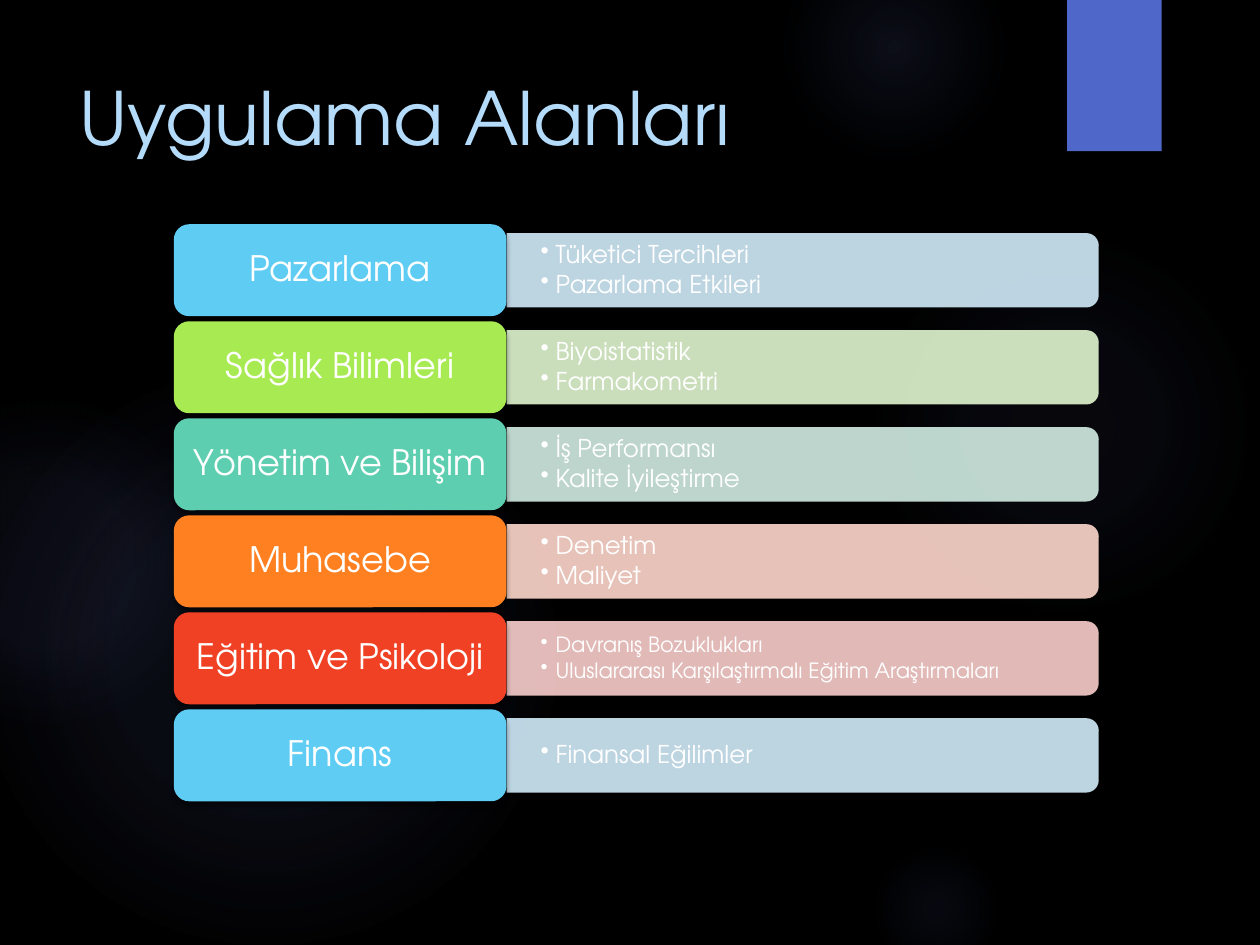
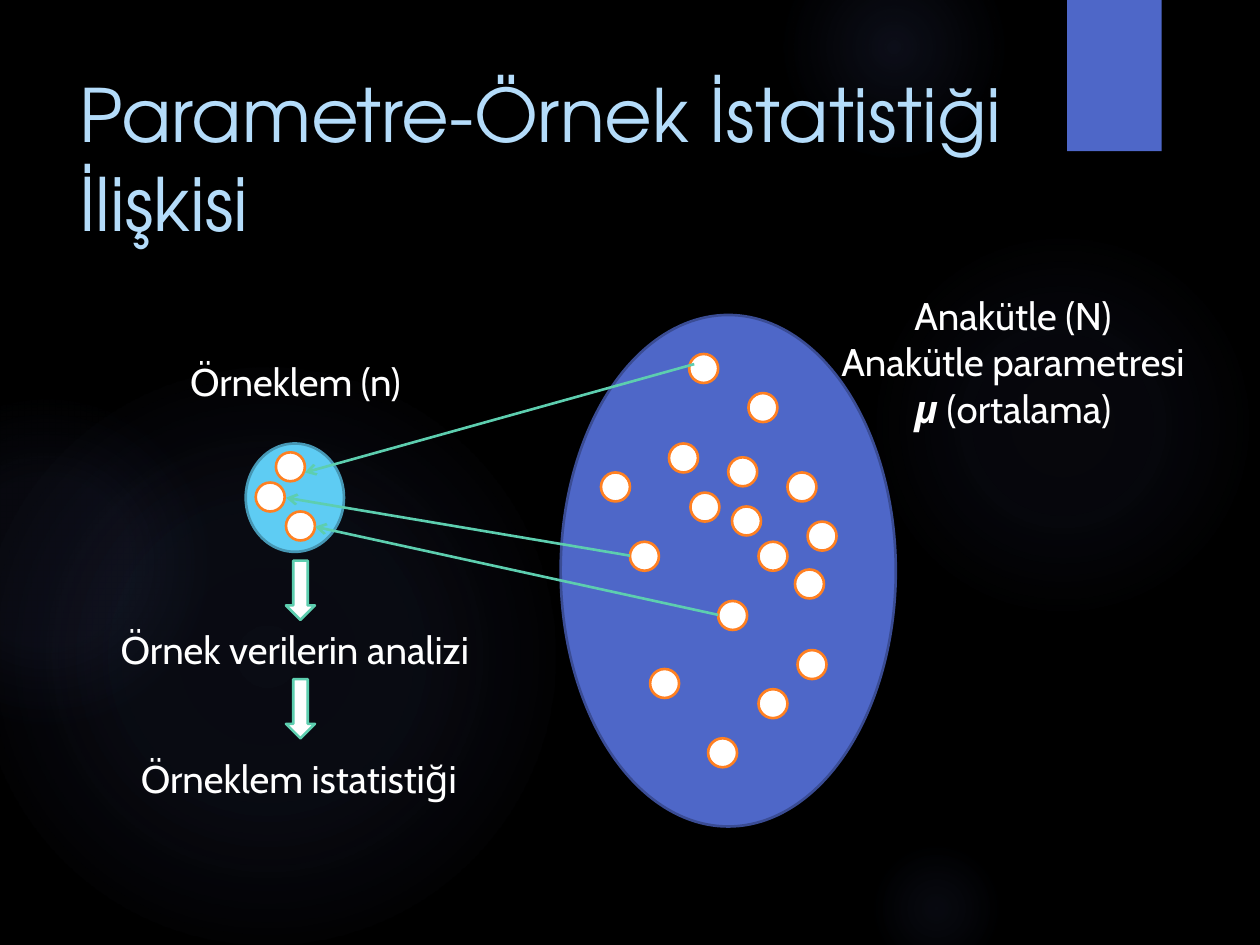
from collections import namedtuple
from dataclasses import dataclass

from lxml import etree
from pptx import Presentation
from pptx.dml.color import RGBColor
from pptx.enum.shapes import MSO_CONNECTOR, MSO_SHAPE
from pptx.enum.text import MSO_ANCHOR, MSO_AUTO_SIZE, PP_ALIGN
from pptx.oxml import parse_xml
from pptx.oxml.ns import nsdecls, qn
from pptx.util import Inches, Pt

ELLIPSE = MSO_SHAPE.OVAL
RECTANGLE = MSO_SHAPE.RECTANGLE
ROUNDED = MSO_SHAPE.ROUNDED_RECTANGLE
ROUND_TOP = MSO_SHAPE.ROUND_2_SAME_RECTANGLE
DOWN_ARROW = MSO_SHAPE.DOWN_ARROW
STRAIGHT = MSO_CONNECTOR.STRAIGHT
LEFT, CENTER = PP_ALIGN.LEFT, PP_ALIGN.CENTER
TOP, MIDDLE = MSO_ANCHOR.TOP, MSO_ANCHOR.MIDDLE
FIT_SHAPE, FIXED = MSO_AUTO_SIZE.SHAPE_TO_FIT_TEXT, MSO_AUTO_SIZE.NONE

Box = namedtuple("Box", "left top width height")


@dataclass(frozen=True)
class Theme:
    heading_font: str = "TeX Gyre Adventor"
    body_font: str = "Cabin"
    title_size: int = 42
    card_size: int = 20
    label_size: int = 22
    bullet_size: int = 14
    small_bullet_size: int = 12
    line_width: float = 1.5
    line_spacing: float = 0.9
    black: str = "000000"
    white: str = "FFFFFF"
    title: str = "B4DCFA"
    glow: str = "5968B0"
    indigo: str = "4E67C8"
    indigo_edge: str = "3A4C94"
    sky: str = "5ECCF3"
    sky_edge: str = "4697B4"
    sky_tint: str = "D2ECFA"
    lime: str = "A7EA52"
    lime_tint: str = "E1F7D1"
    teal: str = "5DCEAF"
    teal_tint: str = "D2EDE3"
    orange: str = "FF8021"
    orange_tint: str = "FFD8CD"
    red: str = "F14124"
    red_tint: str = "FACFCD"


THEME = Theme()

GLOWS = [
    (Box(6.89, 1.83, 3.08, 3.08), [(0, 7), (36, 6), (69, 0)]),
    (Box(6.22, -0.5, 1.75, 1.75), [(0, 14), (36, 7), (73, 0)]),
    (Box(6.89, 6.67, 1.08, 1.08), [(0, 9), (36, 5), (66, 0)]),
    (Box(-0.17, 2.92, 4.58, 4.58), [(0, 11), (36, 10), (75, 0)]),
    (Box(-0.92, 3.17, 2.58, 2.58), [(0, 8), (36, 8), (72, 0)]),
]

FIELDS = [
    ("Pazarlama", THEME.sky, THEME.sky_tint, THEME.bullet_size,
     ["Tüketici Tercihleri", "Pazarlama Etkileri"]),
    ("Sağlık Bilimleri", THEME.lime, THEME.lime_tint, THEME.bullet_size,
     ["Biyoistatistik", "Farmakometri"]),
    ("Yönetim ve Bilişim", THEME.teal, THEME.teal_tint, THEME.bullet_size,
     ["İş Performansı", "Kalite İyileştirme"]),
    ("Muhasebe", THEME.orange, THEME.orange_tint, THEME.bullet_size,
     ["Denetim", "Maliyet"]),
    ("Eğitim ve Psikoloji", THEME.red, THEME.red_tint, THEME.small_bullet_size,
     ["Davranış Bozuklukları",
      "Uluslararası Karşılaştırmalı Eğitim Araştırmaları"]),
    ("Finans", THEME.sky, THEME.sky_tint, THEME.bullet_size,
     ["Finansal Eğilimler"]),
]

POPULATION_DOTS = [
    (0.86, 1.02), (1.03, 1.41), (1.49, 0.62), (1.8, 1.25), (0.55, 1.8),
    (1.57, 1.8), (0.32, 1.25), (1.02, 0.31), (1.36, 1.52), (1.96, 1.64),
    (1.25, 2.27), (1.86, 2.02), (1.88, 2.66), (0.71, 2.81), (1.33, 1.13),
    (1.57, 2.97), (1.17, 3.36),
]
SAMPLE_DOTS = [(0.24, 0.07), (0.32, 0.54), (0.08, 0.31)]
SELECTIONS = [
    ((5.51, 2.89), (2.42, 3.75)),
    ((5, 4.41), (2.27, 3.95)),
    ((5.7, 4.88), (2.5, 4.18)),
]


def apply_format(target, values):
    for name, value in values.items():
        setattr(target, name, value)


def inches(box):
    return [Inches(length) for length in box]


def margins(horizontal, vertical):
    return {
        "margin_left": Inches(horizontal), "margin_right": Inches(horizontal),
        "margin_top": Inches(vertical), "margin_bottom": Inches(vertical),
    }


def format_font(font, name, size, color, bold=False, italic=False):
    apply_format(font, {"name": name, "size": Pt(size), "bold": bold,
                        "italic": italic})
    font.color.rgb = RGBColor.from_string(color)


def add_figure(slide, kind, box, fill, edge=None):
    shape = slide.shapes.add_shape(kind, *inches(box))
    shape.shadow.inherit = False
    shape.fill.solid()
    shape.fill.fore_color.rgb = RGBColor.from_string(fill)
    if edge:
        shape.line.color.rgb = RGBColor.from_string(edge)
        shape.line.width = Pt(THEME.line_width)
    else:
        shape.line.fill.background()
    return shape


def find_part(shape, tag):
    return shape.element.spPr.find(qn(tag))


def set_opacity(shape, percent):
    color = find_part(shape, "a:solidFill")[0]
    etree.SubElement(color, qn("a:alpha"), val=str(percent * 1000))


def add_drop_shadow(shape):
    find_part(shape, "a:effectLst").append(parse_xml(
        f'<a:outerShdw {nsdecls("a")} blurRad="{Pt(3)}" dist="{Pt(2)}" '
        f'dir="5400000" rotWithShape="0"><a:srgbClr val="{THEME.black}">'
        '<a:alpha val="45000"/></a:srgbClr></a:outerShdw>'))


def add_glow(slide, box, stops):
    shape = add_figure(slide, ELLIPSE, box, THEME.glow)
    stop_list = "".join(
        f'<a:gs pos="{position * 1000}"><a:srgbClr val="{THEME.glow}">'
        f'<a:alpha val="{opacity * 1000}"/></a:srgbClr></a:gs>'
        for position, opacity in stops)
    gradient = parse_xml(
        f'<a:gradFill {nsdecls("a")} rotWithShape="1"><a:gsLst>{stop_list}'
        '</a:gsLst><a:path path="circle"><a:fillToRect l="50000" t="50000" '
        'r="50000" b="50000"/></a:path></a:gradFill>')
    solid = find_part(shape, "a:solidFill")
    solid.getparent().replace(solid, gradient)
    return shape


def decorate_layout(layout, slide):
    layout.background.fill.solid()
    layout.background.fill.fore_color.rgb = RGBColor.from_string(THEME.black)
    decorations = [add_glow(slide, box, stops) for box, stops in GLOWS]
    band = add_figure(slide, RECTANGLE, Box(8.47, 0, 0.75, 1.2), THEME.indigo)
    add_drop_shadow(band)
    for shape in decorations + [band]:
        layout.shapes.element.append(shape.element)


def set_title(slide, box, text):
    title = slide.shapes.title
    apply_format(title, dict(zip(box._fields, inches(box))))
    title.text = text
    apply_format(title.text_frame, {"vertical_anchor": TOP, "word_wrap": True,
                                    "auto_size": FIXED})
    paragraph = title.text_frame.paragraphs[0]
    paragraph.alignment = LEFT
    format_font(paragraph.runs[0].font, THEME.heading_font, THEME.title_size,
                THEME.title)


def add_bullets(slide, box, items, size):
    frame = slide.shapes.add_textbox(*inches(box)).text_frame
    apply_format(frame, {"word_wrap": True, "vertical_anchor": MIDDLE,
                         **margins(0.27, 0.14)})
    frame.text = "\n".join(items)
    for paragraph in frame.paragraphs:
        apply_format(paragraph, {"line_spacing": THEME.line_spacing,
                                 "space_after": Pt(size * 0.15)})
        properties = paragraph._p.get_or_add_pPr()
        properties.set("marL", str(Inches(0.12)))
        properties.set("indent", str(Inches(-0.12)))
        etree.SubElement(properties, qn("a:buChar"), char="•")
        format_font(paragraph.runs[0].font, THEME.heading_font, size,
                    THEME.white)


def add_field_row(slide, box, field):
    name, color, tint, size, items = field
    card_width, bar_height, text_height = 2.64, 0.59, 0.53
    bar_left, bar_width = box.left + card_width, box.width - card_width
    middle = box.top + box.height / 2

    bar = add_figure(slide, ROUND_TOP, Box(
        bar_left + (bar_width - bar_height) / 2, middle - bar_width / 2,
        bar_height, bar_width), tint)
    bar.rotation = 90
    set_opacity(bar, 90)
    add_bullets(slide, Box(bar_left, middle - text_height / 2, bar_width,
                           text_height), items, size)

    card = add_figure(slide, ROUNDED,
                      Box(box.left, box.top, card_width, box.height), color)
    add_drop_shadow(card)
    frame = card.text_frame
    apply_format(frame, {"word_wrap": True, "vertical_anchor": MIDDLE,
                         **margins(0.11, 0.08)})
    frame.text = name
    paragraph = frame.paragraphs[0]
    apply_format(paragraph, {"alignment": CENTER,
                             "line_spacing": THEME.line_spacing})
    format_font(paragraph.runs[0].font, THEME.heading_font, THEME.card_size,
                THEME.white)


def add_field_list(slide, box):
    pitch, row_height = box.height / len(FIELDS), 0.73
    for index, field in enumerate(FIELDS):
        add_field_row(slide, Box(box.left, box.top + index * pitch, box.width,
                                 row_height), field)


def add_label(slide, box, lines, alignment=LEFT):
    frame = slide.shapes.add_textbox(*inches(box)).text_frame
    apply_format(frame, {"word_wrap": False, "auto_size": FIT_SHAPE})
    for index, pieces in enumerate(lines):
        paragraph = frame.add_paragraph() if index else frame.paragraphs[0]
        paragraph.alignment = alignment
        for text, emphasis in pieces:
            run = paragraph.add_run()
            run.text = text
            format_font(run.font, THEME.body_font, THEME.label_size,
                        THEME.white, emphasis, emphasis)


def add_group_of_units(slide, box, fill, edge, dots):
    add_figure(slide, ELLIPSE, box, fill, edge)
    for left, top in dots:
        add_figure(slide, ELLIPSE,
                   Box(box.left + left, box.top + top, 0.23, 0.23),
                   THEME.white, THEME.orange)


def add_selection_arrow(slide, start, end):
    connector = slide.shapes.add_connector(STRAIGHT, *inches(start + end))
    connector.line.color.rgb = RGBColor.from_string(THEME.teal)
    connector.line.width = Pt(THEME.line_width)
    etree.SubElement(find_part(connector, "a:ln"), qn("a:tailEnd"),
                     type="arrow")
    etree.SubElement(connector.element.spPr, qn("a:effectLst"))


def add_analysis_steps(slide, box):
    steps = [("Örnek verilerin analizi", 0, 0.47, 3.07),
             ("Örneklem istatistiği", 0.16, 1.49, 2.86)]
    for index, (text, left, top, width) in enumerate(steps):
        add_figure(slide, DOWN_ARROW,
                   Box(box.left + 1.41, box.top + index * 0.94, 0.23, 0.47),
                   THEME.white, THEME.teal)
        add_label(slide, Box(box.left + left, box.top + top, width, 0.47),
                  [[(text, False)]])


def build_fields_slide(slide):
    set_title(slide, Box(0.53, 0.52, 7.72, 1.53), "Uygulama Alanları")
    add_field_list(slide, Box(1.38, 1.78, 7.34, 4.62))


def build_sampling_slide(slide):
    set_title(slide, Box(0.53, 0.5, 7.72, 1.53),
              "Parametre-Örnek İstatistiği İlişkisi")
    add_group_of_units(slide, Box(4.45, 2.5, 2.66, 4.06), THEME.indigo,
                       THEME.indigo_edge, POPULATION_DOTS)
    add_group_of_units(slide, Box(1.95, 3.52, 0.78, 0.86), THEME.sky,
                       THEME.sky_edge, SAMPLE_DOTS)
    add_label(slide, Box(6.56, 2.27, 2.96, 1.58), [
        [("Anakütle (N)", False)],
        [("Anakütle parametresi", False)],
        [("μ ", True), ("(ortalama)", False)],
    ], CENTER)
    add_label(slide, Box(1.41, 2.79, 1.88, 0.47), [[("Örneklem (n)", False)]])
    for start, end in SELECTIONS:
        add_selection_arrow(slide, start, end)
    add_analysis_steps(slide, Box(0.86, 4.45, 3.07, 1.96))


def main():
    presentation = Presentation()
    presentation.slide_width = Inches(10)
    presentation.slide_height = Inches(7.5)
    layout = presentation.slide_layouts[5]
    fields_slide = presentation.slides.add_slide(layout)
    decorate_layout(layout, fields_slide)
    build_fields_slide(fields_slide)
    build_sampling_slide(presentation.slides.add_slide(layout))
    presentation.save("out.pptx")


if __name__ == "__main__":
    main()
